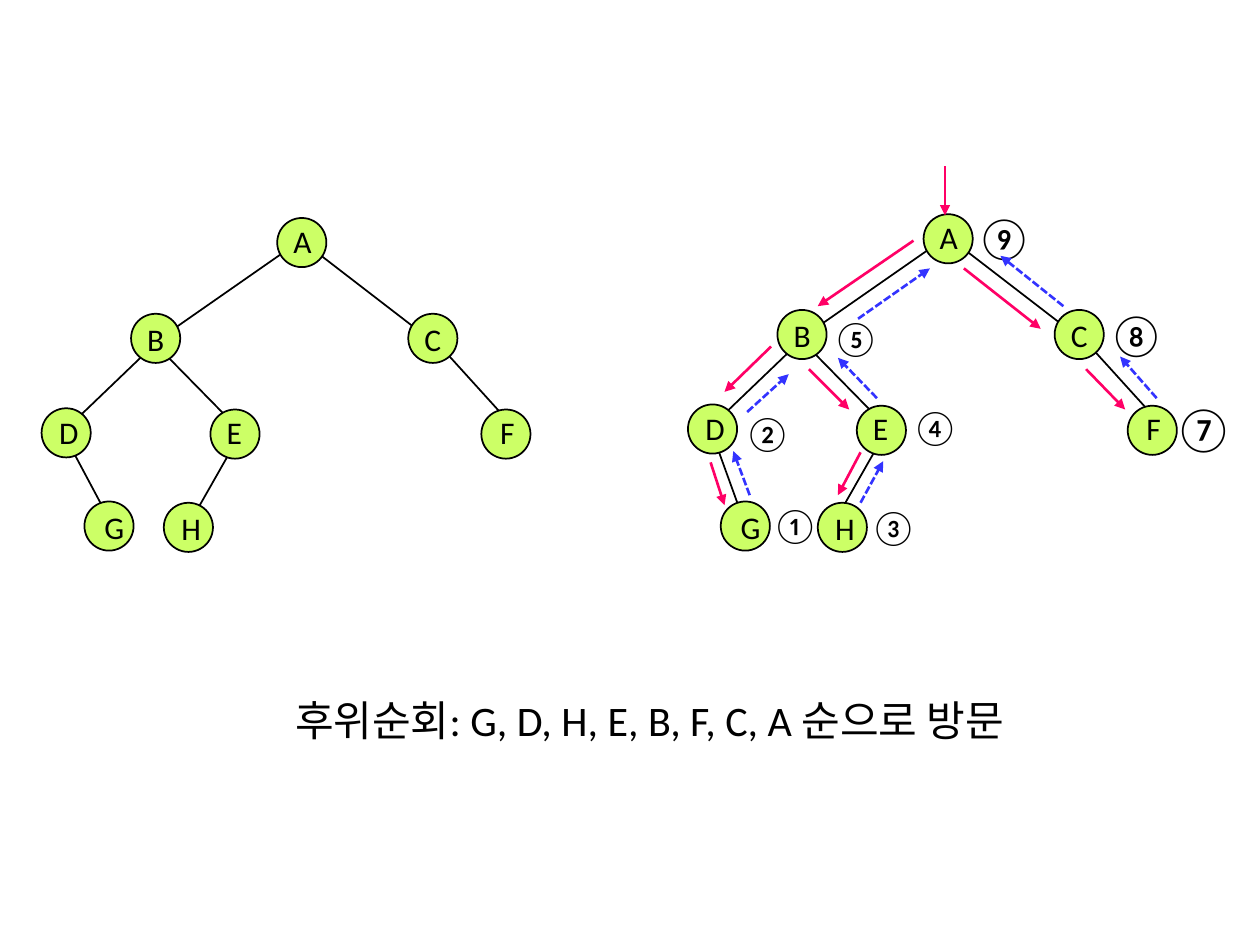
from dataclasses import dataclass

from lxml import etree
from pptx import Presentation
from pptx.dml.color import RGBColor
from pptx.enum.dml import MSO_LINE
from pptx.enum.shapes import MSO_CONNECTOR, MSO_SHAPE
from pptx.enum.text import MSO_ANCHOR, MSO_AUTO_SIZE, PP_ALIGN
from pptx.oxml.ns import qn
from pptx.util import Inches, Pt

STRAIGHT = MSO_CONNECTOR.STRAIGHT
OVAL = MSO_SHAPE.OVAL
DASH = MSO_LINE.SQUARE_DOT
CENTER, LEFT = PP_ALIGN.CENTER, PP_ALIGN.LEFT
MIDDLE, TOP = MSO_ANCHOR.MIDDLE, MSO_ANCHOR.TOP
FIT_SHAPE = MSO_AUTO_SIZE.SHAPE_TO_FIT_TEXT


@dataclass(frozen=True)
class Theme:
    ink: RGBColor = RGBColor(0x00, 0x00, 0x00)
    node: RGBColor = RGBColor(0xCC, 0xFF, 0x66)
    descend: RGBColor = RGBColor(0xFF, 0x00, 0x66)
    climb: RGBColor = RGBColor(0x33, 0x33, 0xFF)
    font: str = "Calibri"
    label_size: int = 18
    order_size: int = 20
    large_size: int = 24
    edge_width: float = 1
    arrow_width: float = 1.5


NODE_SIZE = 0.39
LABEL_HEIGHT = 0.4
RIGHT_TREE_OFFSET = (5.13, -0.03)

# Top-left corners of the nodes in the left tree; the right tree is shifted.
UPPER_NODES = {
    "A": (2.2, 1.73), "D": (0.33, 3.24), "E": (1.67, 3.25),
    "F": (3.82, 3.25), "B": (1.04, 2.49), "C": (3.24, 2.49),
}
LEFT_LEAVES = {"G": (0.67, 3.98), "H": (1.3, 3.99)}
RIGHT_LEAVES = {"G": (5.72, 3.98), "H": (6.49, 3.99)}

# Label position relative to its node, and label width.
LABELS = {
    "A": (0.03, -0.02, 0.31), "B": (0.03, 0, 0.31), "C": (0.03, 0, 0.31),
    "G": (0.06, 0, 0.27), "D": (0.04, -0.01, 0.31), "H": (0.04, 0, 0.31),
    "E": (0.03, -0.02, 0.31), "F": (0.05, -0.02, 0.31),
}

SHARED_EDGES = [
    ((1.87, 3.51), (1.54, 4.09)),
    ((1.3, 2.8), (1.84, 3.35)),
    ((3.46, 2.71), (4.14, 3.46)),
    ((1.25, 2.71), (0.51, 3.42)),
    ((2.37, 1.92), (1.25, 2.7)),
    ((2.42, 1.93), (3.42, 2.7)),
]
LEFT_DG_EDGE = ((0.53, 3.49), (0.85, 4.09))
RIGHT_DG_EDGE = ((5.66, 3.46), (5.87, 4.04))

# Every arrow points at its second position.
DESCENTS = [
    ((7.5, 1.32), (7.5, 1.71)), ((7.25, 1.91), (6.49, 2.43)),
    ((6.12, 2.75), (5.75, 3.11)), ((5.64, 3.67), (5.75, 4.01)),
    ((6.42, 2.93), (6.74, 3.25)), ((6.83, 3.59), (6.65, 3.93)),
    ((7.65, 2.13), (8.26, 2.61)), ((8.62, 2.93), (8.93, 3.25)),
]
CLIMBS = [
    ((5.95, 3.93), (5.82, 3.58)), ((5.93, 3.27), (6.26, 2.97)),
    ((9.18, 3.16), (8.89, 2.83)), ((8.44, 2.43), (7.94, 2.03)),
    ((6.96, 3.16), (6.65, 2.84)), ((6.83, 3.99), (7.01, 3.66)),
    ((6.81, 2.53), (7.38, 2.13)),
]
SMALL_ORDERS = [
    ("①", 6.03, 3.95), ("②", 5.81, 3.22), ("③", 6.81, 3.96),
    ("④", 7.14, 3.17), ("⑤", 6.51, 2.46),
]
LARGE_ORDERS = [
    ("⑦", 9.27, 3.15, "Lato"), ("⑧", 8.7, 2.4, "Calibri"),
    ("⑨", 7.65, 1.63, "Calibri"),
]


def shifted(point, offset):
    return point[0] + offset[0], point[1] + offset[1]


class TreeSlide:
    def __init__(self, slide, theme):
        self.slide = slide
        self.theme = theme

    def line(self, start, end, color, width):
        connector = self.slide.shapes.add_connector(
            STRAIGHT, *(Inches(value) for value in (*start, *end)))
        connector.line.color.rgb = color
        connector.line.width = Pt(width)
        properties = connector._element.spPr
        etree.SubElement(properties, qn("a:effectLst"))
        return connector

    def edge(self, start, end):
        self.line(start, end, self.theme.ink, self.theme.edge_width)

    def arrow(self, start, end, color, dash=None):
        connector = self.line(start, end, color, self.theme.arrow_width)
        if dash is not None:
            connector.line.dash_style = dash
        outline = connector.line._get_or_add_ln()
        etree.SubElement(outline, qn("a:tailEnd"), type="triangle")

    def node(self, left, top):
        shape = self.slide.shapes.add_shape(
            OVAL, Inches(left), Inches(top), Inches(NODE_SIZE), Inches(NODE_SIZE))
        shape.shadow.inherit = False
        shape.fill.solid()
        shape.fill.fore_color.rgb = self.theme.node
        shape.line.color.rgb = self.theme.ink
        shape.line.width = Pt(self.theme.edge_width)

    def text(self, text, left, top, width, height, *, size, font=None,
             align=LEFT, anchor=TOP, wrap=True):
        box = self.slide.shapes.add_textbox(
            Inches(left), Inches(top), Inches(width), Inches(height))
        frame = box.text_frame
        frame.word_wrap = wrap
        frame.auto_size = FIT_SHAPE
        frame.vertical_anchor = anchor
        paragraph = frame.paragraphs[0]
        paragraph.alignment = align
        run = paragraph.add_run()
        run.text = text
        run.font.size = Pt(size)
        run.font.name = font or self.theme.font
        run.font.color.rgb = self.theme.ink

    def tree(self, leaves, deepest_edge, offset=(0, 0)):
        """Draw edges, then nodes, then labels; leaves and deepest_edge are not shifted."""
        self.edge(*deepest_edge)
        for start, end in SHARED_EDGES:
            self.edge(shifted(start, offset), shifted(end, offset))
        nodes = {name: shifted(point, offset) for name, point in UPPER_NODES.items()}
        nodes.update(leaves)
        for left, top in nodes.values():
            self.node(left, top)
        for name, (shift_x, shift_y, width) in LABELS.items():
            left, top = shifted(nodes[name], (shift_x, shift_y))
            self.text(name, left, top, width, LABEL_HEIGHT,
                      size=self.theme.label_size, align=CENTER, anchor=MIDDLE)


def main():
    theme = Theme()
    presentation = Presentation()
    presentation.slide_width, presentation.slide_height = Inches(10), Inches(7.5)
    page = TreeSlide(presentation.slides.add_slide(presentation.slide_layouts[6]), theme)

    page.tree(LEFT_LEAVES, LEFT_DG_EDGE)
    page.tree(RIGHT_LEAVES, RIGHT_DG_EDGE, RIGHT_TREE_OFFSET)
    for symbol, left, top in SMALL_ORDERS:
        page.text(symbol, left, top, 0.48, 0.44, size=theme.order_size, wrap=False)
    for symbol, left, top, font in LARGE_ORDERS:
        page.text(symbol, left, top, 0.5, 0.5, size=theme.large_size,
                  font=font, wrap=False)
    for start, end in DESCENTS:
        page.arrow(start, end, theme.descend)
    for start, end in CLIMBS:
        page.arrow(start, end, theme.climb, DASH)
    page.text("후위순회: G, D, H, E, B, F, C, A 순으로 방문", 0.67, 5.46, 8.97, 0.5,
              size=theme.large_size, align=CENTER)
    presentation.save("out.pptx")


if __name__ == "__main__":
    main()
